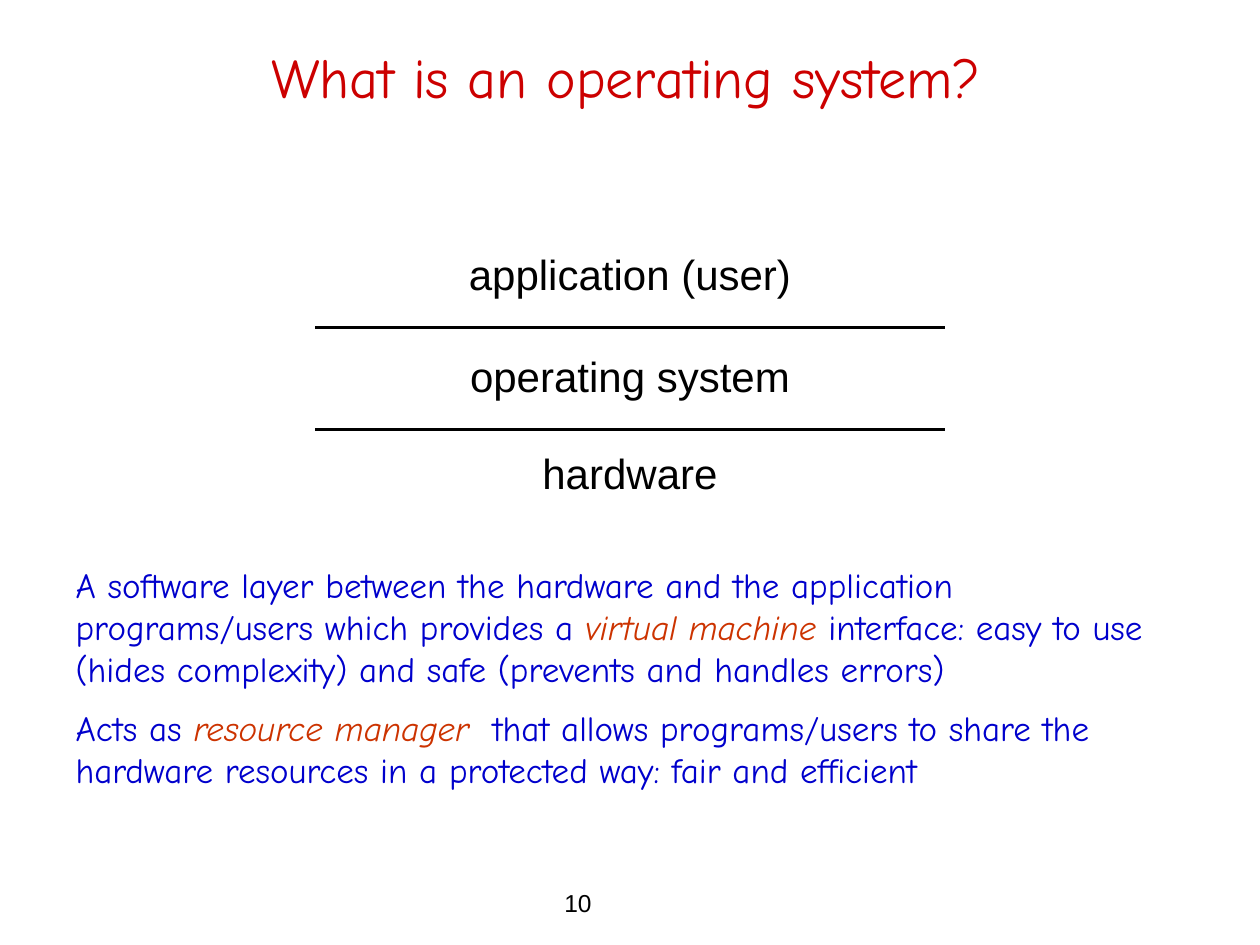
from lxml import etree
from pptx import Presentation
from pptx.dml.color import RGBColor
from pptx.enum.shapes import MSO_CONNECTOR
from pptx.enum.text import MSO_ANCHOR, MSO_AUTO_SIZE, PP_ALIGN
from pptx.oxml.ns import qn
from pptx.util import Inches, Pt

BLACK = RGBColor(0x00, 0x00, 0x00)
RED = RGBColor(0xCC, 0x00, 0x00)
BLUE = RGBColor(0x00, 0x00, 0xCC)
ORANGE = RGBColor(0xCC, 0x33, 0x00)

HEADING_FONT = "Comic Neue"
LABEL_FONT = "Arial"

LAYERS = [("application (user)", 1.92), ("operating system", 2.73), ("hardware", 3.5)]
BOUNDARIES = [2.6, 3.41]
DEFINITIONS = [
    (
        "A software layer between the hardware and the application programs/users which provides a ",
        "virtual machine",
        " interface: easy to use (hides complexity) and safe (prevents and handles errors)",
    ),
    (
        "Acts as ",
        "resource manager",
        "  that allows programs/users to share the hardware resources in a protected way: fair and efficient",
    ),
]


def add_text(paragraph, text, *, size, color, font=LABEL_FONT, italic=False):
    run = paragraph.add_run()
    run.text = text
    run.font.name = font
    run.font.size = Pt(size)
    run.font.color.rgb = color
    run.font.italic = italic


def place(shape, left, top, width, height):
    shape.left, shape.top = Inches(left), Inches(top)
    shape.width, shape.height = Inches(width), Inches(height)


def fill_title(title, text):
    place(title, 0.44, 0.17, 9.06, 0.75)
    frame = title.text_frame
    frame.auto_size = MSO_AUTO_SIZE.NONE
    frame.vertical_anchor = MSO_ANCHOR.BOTTOM
    paragraph = frame.paragraphs[0]
    paragraph.alignment = PP_ALIGN.CENTER
    add_text(paragraph, text, size=32, color=RED, font=HEADING_FONT)


def remove_bullet(paragraph):
    properties = paragraph._p.get_or_add_pPr()
    properties.set("marL", "0")
    properties.set("indent", "0")
    etree.SubElement(properties, qn("a:buNone"))


def fill_body(body, definitions):
    place(body, 0.5, 4.42, 9.08, 2.21)
    frame = body.text_frame
    frame.auto_size = MSO_AUTO_SIZE.NONE
    for index, (opening, term, ending) in enumerate(definitions):
        paragraph = frame.add_paragraph() if index else frame.paragraphs[0]
        remove_bullet(paragraph)
        paragraph.space_before = Pt(10 if index else 0)
        add_text(paragraph, opening, size=20, color=BLUE, font=HEADING_FONT)
        add_text(paragraph, term, size=20, color=ORANGE, font=HEADING_FONT, italic=True)
        add_text(paragraph, ending, size=20, color=BLUE, font=HEADING_FONT)


def add_label(slide, text, left, top, width, height, *, size, alignment):
    box = slide.shapes.add_textbox(Inches(left), Inches(top), Inches(width), Inches(height))
    box.text_frame.word_wrap = True
    paragraph = box.text_frame.paragraphs[0]
    paragraph.alignment = alignment
    add_text(paragraph, text, size=size, color=BLACK)


def add_boundary(slide, top):
    line = slide.shapes.add_connector(
        MSO_CONNECTOR.STRAIGHT, Inches(2.5), Inches(top), Inches(7.5), Inches(top)
    )
    line.line.color.rgb = BLACK
    line.line.width = Pt(2)
    etree.SubElement(line._element.spPr, qn("a:effectLst"))


def main():
    presentation = Presentation()
    presentation.slide_width = Inches(10)
    presentation.slide_height = Inches(7.5)
    slide = presentation.slides.add_slide(presentation.slide_layouts[1])

    fill_title(slide.shapes.title, "What is an operating system?")
    fill_body(slide.placeholders[1], DEFINITIONS)
    for top in BOUNDARIES:
        add_boundary(slide, top)
    for text, top in LAYERS:
        add_label(slide, text, 3.6, top, 2.8, 0.5, size=24, alignment=PP_ALIGN.CENTER)
    add_label(slide, "10", 4.38, 7, 1.09, 0.34, size=14, alignment=PP_ALIGN.LEFT)

    presentation.save("out.pptx")


if __name__ == "__main__":
    main()
